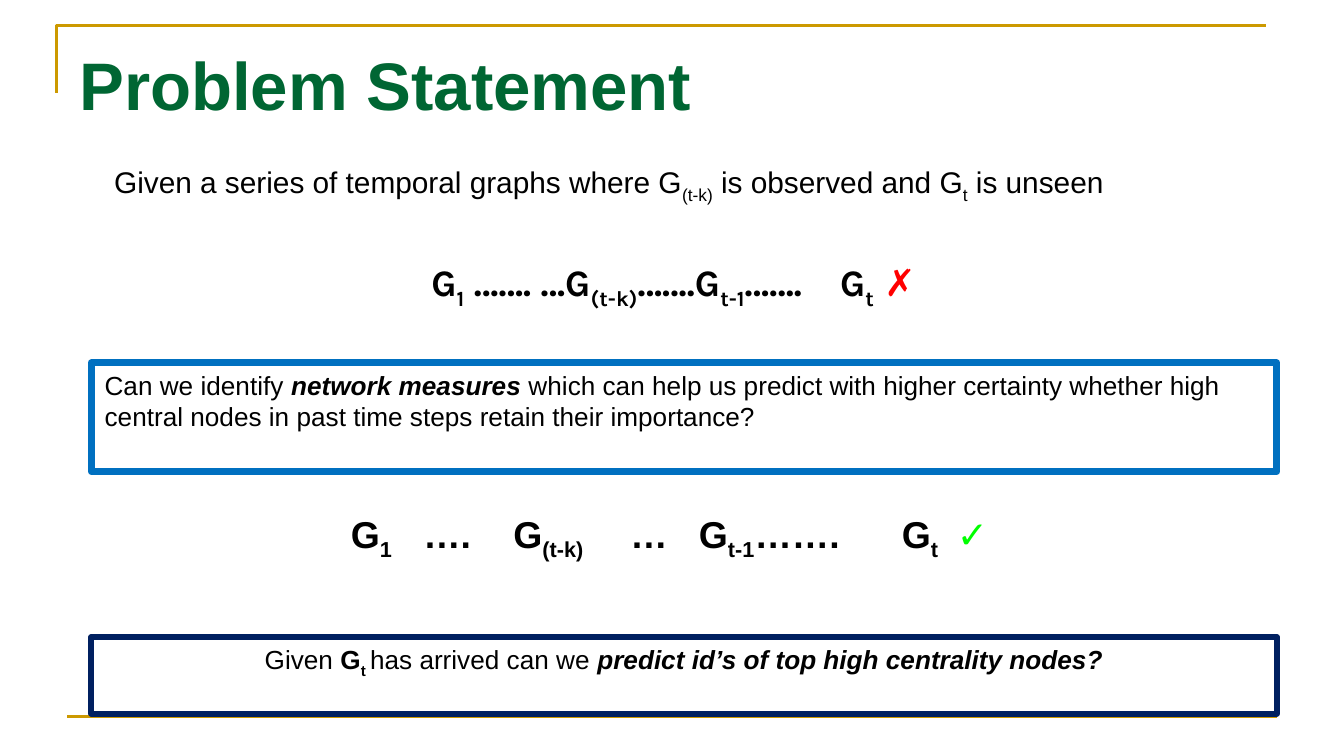
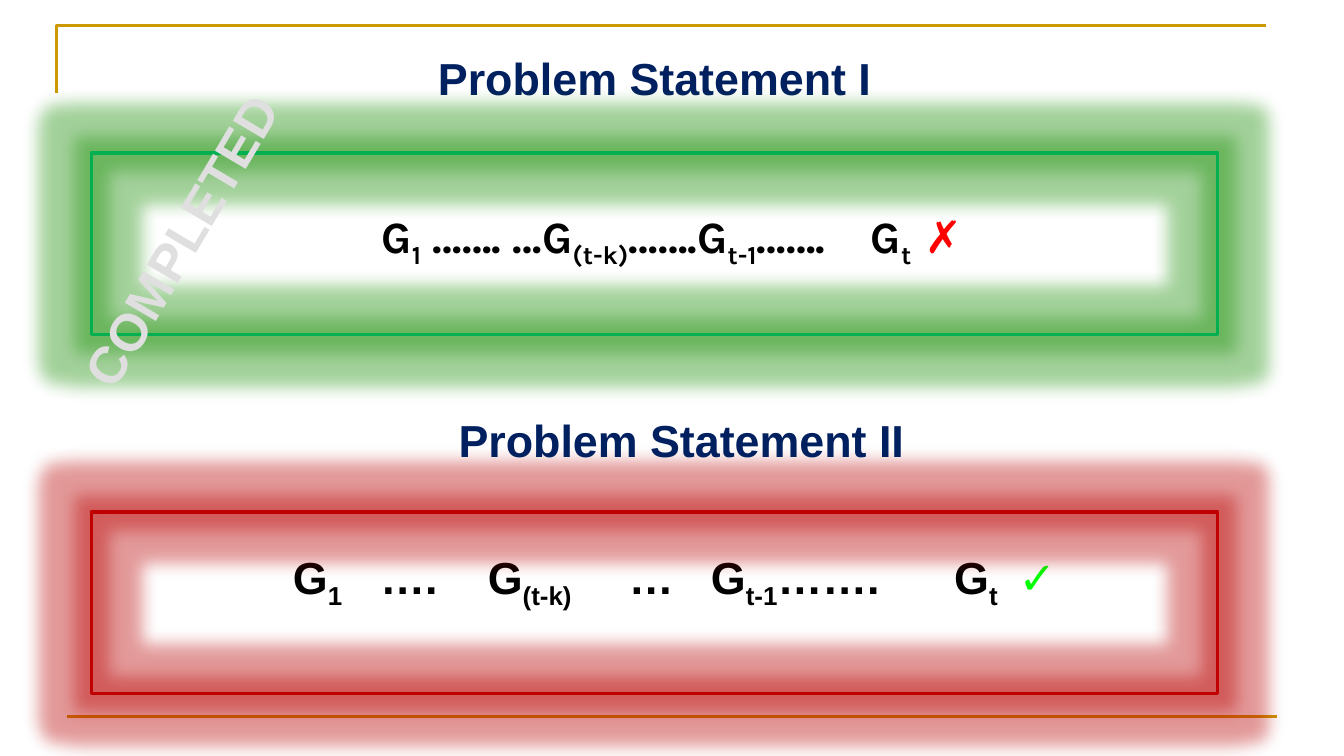
from lxml.etree import SubElement
from pptx import Presentation
from pptx.dml.color import RGBColor
from pptx.enum.shapes import MSO_CONNECTOR, MSO_SHAPE
from pptx.enum.text import MSO_ANCHOR, MSO_AUTO_SIZE, PP_ALIGN
from pptx.oxml.ns import qn
from pptx.util import Inches, Pt

SLIDE_WIDTH = Inches(10)
SLIDE_HEIGHT = SLIDE_WIDTH * 9 // 16
COLUMNS = 10
COLORS = {
    "gold": "CC9900", "title": "006633", "navy": "002060", "text": "000000",
    "blue": "0070C0", "cross": "FF0000", "check": "00FF00",
    "done": "00B050", "done_glow": "198E05",
    "open": "C00000", "open_glow": "B90000", "stamp": "DFDFDF",
}
# Bars separate normal text from subscripts.
UNSEEN_SERIES = ["G|1| ……. …G|(t-k)|…….G|t-1|…….", "G|t", "✗"]
ARRIVED_SERIES = ["G|1", "….", "G|(t-k)", "…", "G|t-1|…….", "G|t", "✓"]


def color(name):
    return RGBColor.from_string(COLORS[name])


def cells(count):
    """Length of a number of square grid cells, ten to the slide's width."""
    return int(count * SLIDE_WIDTH / COLUMNS)


def area(left, top, width, height):
    return [cells(value) for value in (left, top, width, height)]


def add_run(paragraph, text, size, color_name="text", style="", font="Arial"):
    """Add one run; style holds any of the words bold, italic and sub."""
    run = paragraph.add_run()
    run.text = text
    run.font.name = font
    run.font.size = Pt(size)
    run.font.bold = "bold" in style
    run.font.italic = "italic" in style
    run.font.color.rgb = color(color_name)
    if "sub" in style:
        run._r.get_or_add_rPr().set("baseline", "-25000")


def add_marked_text(paragraph, text, size, style="", **look):
    for index, part in enumerate(text.split("|")):
        if part:
            add_run(paragraph, part, size, style=style + " sub" * (index % 2), **look)


def format_frame(shape, inset=(0, 0), align=PP_ALIGN.LEFT, anchor=MSO_ANCHOR.TOP):
    """Set up the text frame and return its first paragraph."""
    frame = shape.text_frame
    frame.word_wrap = True
    frame.auto_size = MSO_AUTO_SIZE.NONE
    frame.vertical_anchor = anchor
    frame.margin_left = frame.margin_right = cells(inset[0])
    frame.margin_top = frame.margin_bottom = cells(inset[1])
    paragraph = frame.paragraphs[0]
    paragraph.alignment = align
    return paragraph


def add_line(slide, start, end):
    line = slide.shapes.add_connector(
        MSO_CONNECTOR.STRAIGHT, *map(cells, start), *map(cells, end))
    line.line.color.rgb = color("gold")
    line.line.width = Pt(1.5)
    SubElement(line._element.spPr, qn("a:effectLst"))


def add_frame(slide):
    """Draw the gold corner at the top and the gold line at the bottom."""
    builder = slide.shapes.build_freeform(cells(0.42), cells(0.69))
    builder.add_line_segments(
        [(cells(0.42), cells(0.19)), (cells(9.42), cells(0.19))], close=False)
    corner = builder.convert_to_shape()
    corner.shadow.inherit = False
    corner.fill.background()
    corner.line.color.rgb = color("gold")
    corner.line.width = Pt(1.5)
    add_line(slide, (0.5, 5.33), (9.5, 5.33))


def add_slide(presentation, title, left, top, size, color_name, align):
    slide = presentation.slides.add_slide(presentation.slide_layouts[5])
    add_frame(slide)
    format_heading(slide.shapes.title, title, left, top, size, color_name, align)
    return slide


def format_heading(shape, text, left, top, size, color_name, align):
    shape.left, shape.top, shape.width, shape.height = area(left, top, 9, 0.53)
    paragraph = format_frame(shape, (0.09, 0.09), align)
    add_run(paragraph, text, size, color_name, "bold")


def add_text(slide, *place):
    return slide.shapes.add_textbox(*area(*place))


def add_box(slide, place, color_name, width):
    box = slide.shapes.add_shape(MSO_SHAPE.RECTANGLE, *area(*place))
    box.shadow.inherit = False
    box.fill.background()
    box.line.color.rgb = color(color_name)
    box.line.width = Pt(width)
    return box


def add_question(slide, top, height, color_name, width, align, runs):
    box = add_box(slide, (0.68, top, 8.82, height), color_name, width)
    paragraph = format_frame(box, (0.1, 0.05), align)
    for text, style in runs:
        add_run(paragraph, text, 14, style=style)


def add_glowing_box(slide, top, name):
    box = add_box(slide, (0.68, top, 8.38, 1.35), name, 2)
    effects = box._element.spPr.find(qn("a:effectLst"))
    glow = SubElement(effects, qn("a:glow"), rad=str(Pt(18)))
    tint = SubElement(glow, qn("a:srgbClr"), val=COLORS[name + "_glow"])
    SubElement(tint, qn("a:alpha"), val="40000")


def add_series(slide, top, size, pieces, stops, font, mark_color, mark_style=""):
    """Write the graph series, each piece at its stop, the last one as a mark."""
    start = stops[0]
    paragraph = format_frame(add_text(slide, start, top, 9.5 - start, 0.5))
    tabs = SubElement(paragraph._p.get_or_add_pPr(), qn("a:tabLst"))
    for stop in stops[1:]:
        SubElement(tabs, qn("a:tab"), pos=str(cells(stop - start)), algn="l")
    for piece in pieces[:-1]:
        add_marked_text(paragraph, piece, size, "bold", font=font)
        add_run(paragraph, "\t", size, font=font)
    add_run(paragraph, pieces[-1], size, mark_color, mark_style, font)


def add_unseen_series(slide, top, size, stops):
    add_series(slide, top, size, UNSEEN_SERIES, stops, "Karla", "cross", "bold")


def add_arrived_series(slide, top, size, stops):
    add_series(slide, top, size, ARRIVED_SERIES, stops, "Arial", "check")


def add_stamp(slide, text):
    stamp = add_text(slide, -0.57, 1.5, 3.82, 0.57)
    stamp.rotation = 300.5
    paragraph = format_frame(stamp, align=PP_ALIGN.CENTER, anchor=MSO_ANCHOR.MIDDLE)
    add_run(paragraph, text, 28, "stamp", "bold")


def build_problem(presentation):
    slide = add_slide(presentation, "Problem Statement", 0.5, 0.23, 36, "title",
                      PP_ALIGN.LEFT)
    statement = format_frame(add_text(slide, 0.85, 1.22, 8.5, 0.4))
    add_marked_text(
        statement,
        "Given a series of temporal graphs where G|(t-k)| is observed and G|t| is unseen",
        16)
    add_unseen_series(slide, 1.93, 20, [3.21, 6.25, 6.58])
    add_arrived_series(slide, 3.8, 20, [2.61, 3.15, 3.82, 4.69, 5.2, 6.71, 7.12])
    add_question(slide, 2.7, 0.81, "blue", 3.75, PP_ALIGN.LEFT, [
        ("Can we identify ", ""),
        ("network measures ", "bold italic"),
        ("which can help us predict with higher certainty whether high central "
         "nodes in past time steps retain their importance?", ""),
    ])
    add_question(slide, 4.74, 0.57, "navy", 3.25, PP_ALIGN.CENTER, [
        ("Given ", ""),
        ("G", "bold"),
        ("t ", "bold sub"),
        ("has arrived can we ", ""),
        ("predict id’s of top high centrality nodes?", "bold italic"),
    ])


def build_progress(presentation):
    heading_look = (24, "navy", PP_ALIGN.CENTER)
    slide = add_slide(presentation, "Problem Statement I", 0.37, 0.29, *heading_look)
    add_unseen_series(slide, 1.55, 24, [2.84, 6.48, 6.88])
    add_arrived_series(slide, 4.09, 24, [2.18, 2.83, 3.63, 4.68, 5.29, 7.1, 7.58])
    add_glowing_box(slide, 1.14, "done")
    add_glowing_box(slide, 3.81, "open")
    second_heading = add_text(slide, 0.57, 2.98, 9, 0.53)
    format_heading(second_heading, "Problem Statement II", 0.57, 2.98, *heading_look)
    add_stamp(slide, "COMPLETED")


def main():
    presentation = Presentation()
    presentation.slide_width, presentation.slide_height = SLIDE_WIDTH, SLIDE_HEIGHT
    build_problem(presentation)
    build_progress(presentation)
    presentation.save("out.pptx")


if __name__ == "__main__":
    main()
